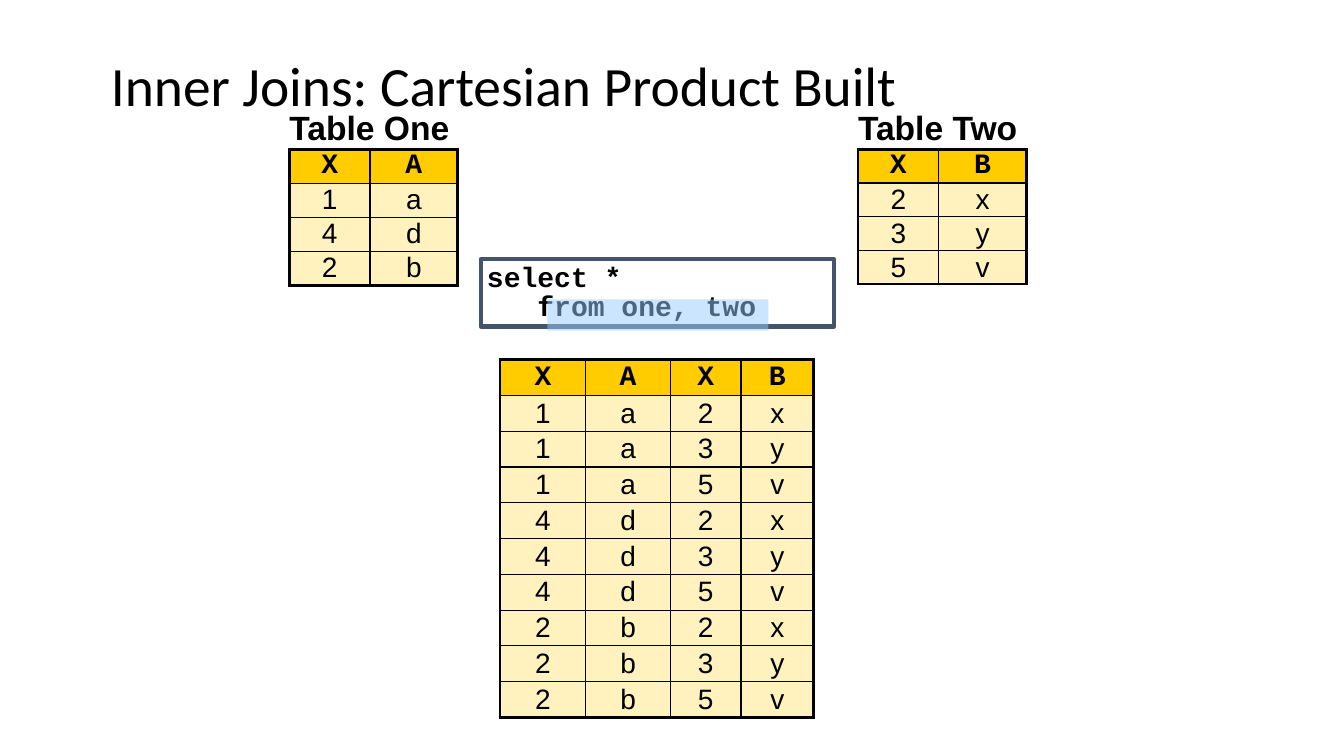
from itertools import product

from lxml.etree import SubElement
from pptx import Presentation
from pptx.dml.color import RGBColor
from pptx.enum.shapes import MSO_SHAPE as Shape
from pptx.enum.text import MSO_ANCHOR as Anchor, PP_ALIGN as Align
from pptx.oxml.ns import qn
from pptx.util import Inches, Pt

TITLE = "Inner Joins: Cartesian Product Built"
QUERY = ["select *", "   from one, two"]
ONE = [("1", "a"), ("4", "d"), ("2", "b")]
TWO = [("2", "x"), ("3", "y"), ("5", "v")]
JOINED = [left + right for left, right in product(ONE, TWO)]

# caption, header, rows, (left, top, height), caption height, column widths
TABLES = [
    ("", "XAXB", JOINED, (4.96, 3.15, 3.97), 0.42, (0.85, 0.84, 0.7, 0.72)),
    ("Table One", "XA", ONE, (2.87, 1.08, 1.75), 0.4, (0.8, 0.87)),
    ("Table Two", "XB", TWO, (8.51, 1.08, 1.74), 0.4, (0.8, 0.87)),
]
BLACK, GOLD, CREAM = "000000", "FFCC00", "FFF2BE"
SLATE, SKY, WHITE = "44546A", "99CCFF", "FFFFFF"
THICK, THIN = 2.25, 1


def color(hex_code):
    return RGBColor.from_string(hex_code)


def style(paragraph, font_name, size, bold=False):
    font = paragraph.font
    font.name, font.size, font.bold = font_name, Pt(size), bold
    font.color.rgb = color(BLACK)


def set_borders(cell, left, right, top, bottom):
    """Draw the four cell edges at the given point widths; 0 hides an edge."""
    properties = cell._tc.get_or_add_tcPr()
    for side, width in zip("LRTB", (left, right, top, bottom)):
        edge = SubElement(properties, qn(f"a:ln{side}"), w=str(Pt(width)))
        if width:
            solid = SubElement(edge, qn("a:solidFill"))
            SubElement(solid, qn("a:srgbClr"), val=BLACK)
        else:
            SubElement(edge, qn("a:noFill"))


def fill_cell(cell, text, background, font_name, size, bold, align, inset):
    cell.text = text
    cell.vertical_anchor = Anchor.MIDDLE
    cell.margin_left = cell.margin_right = Inches(inset)
    cell.margin_top = cell.margin_bottom = 0
    if background:
        cell.fill.solid()
        cell.fill.fore_color.rgb = color(background)
    else:
        cell.fill.background()
    paragraph = cell.text_frame.paragraphs[0]
    paragraph.alignment = align
    style(paragraph, font_name, size, bold)


def add_relation(slide, caption, header, rows, place, caption_height, widths):
    left, top, height = place
    grid = [tuple(header)] + rows
    frame = slide.shapes.add_table(len(grid) + 1, len(widths), Inches(left),
                                   Inches(top), Inches(sum(widths)), Inches(height))
    table = frame.table
    table.first_row = table.horz_banding = False
    for column, width in zip(table.columns, widths):
        column.width = Inches(width)
    for row in table.rows:
        row.height = Inches((height - caption_height) / len(grid))
    table.rows[0].height = Inches(caption_height)

    last_column = len(widths) - 1
    for c in range(len(widths)):
        set_borders(table.cell(0, c), 0, 0, 0, THICK)
    table.cell(0, 0).merge(table.cell(0, last_column))
    fill_cell(table.cell(0, 0), caption, None, "Arial", 24, True, Align.LEFT, 0)

    for r, values in enumerate(grid, 1):
        is_header = r == 1
        for c, value in enumerate(values):
            cell = table.cell(r, c)
            outer = (c == 0, c == last_column, is_header, r == len(grid))
            set_borders(cell, *(THICK if edge else THIN for edge in outer))
            fill_cell(cell, value, GOLD if is_header else CREAM,
                      "Courier New" if is_header else "Arial",
                      20, is_header, Align.CENTER, 0.1)


def add_box(slide, left, top, width, height, fill):
    box = slide.shapes.add_shape(Shape.RECTANGLE, Inches(left), Inches(top),
                                 Inches(width), Inches(height))
    box.shadow.inherit = False
    box.fill.solid()
    box.fill.fore_color.rgb = color(fill)
    return box


def add_query(slide):
    box = add_box(slide, 4.77, 2.57, 3.5, 0.67, WHITE)
    box.line.color.rgb = color(SLATE)
    box.line.width = Pt(3)
    frame = box.text_frame
    frame.word_wrap = True
    frame.vertical_anchor = Anchor.TOP
    frame.margin_left = frame.margin_right = Inches(0.06)
    frame.margin_top = frame.margin_bottom = Inches(0.06)
    frame.text = "\n".join(QUERY)
    for paragraph in frame.paragraphs:
        paragraph.alignment = Align.LEFT
        paragraph.line_spacing = 0.85
        style(paragraph, "Courier New", 20, True)


def add_highlight(slide):
    band = add_box(slide, 5.43, 2.97, 2.19, 0.31, SKY)
    band.line.fill.background()
    tint = band._element.spPr.find(qn("a:solidFill"))[0]
    SubElement(tint, qn("a:alpha"), val="50000")


def main():
    deck = Presentation()
    deck.slide_width, deck.slide_height = Inches(13.33), Inches(7.5)
    slide = deck.slides.add_slide(deck.slide_layouts[5])

    title = slide.shapes.title
    title.left, title.top = Inches(1), Inches(0.5)
    title.width, title.height = Inches(12.33), Inches(0.75)
    title.text_frame.text = TITLE
    title.text_frame.vertical_anchor = Anchor.MIDDLE
    heading = title.text_frame.paragraphs[0]
    heading.alignment = Align.LEFT
    heading.line_spacing = 0.9
    style(heading, "Calibri", 39.6)

    for relation in TABLES:
        add_relation(slide, *relation)
    add_query(slide)
    add_highlight(slide)
    deck.save("out.pptx")


if __name__ == "__main__":
    main()
